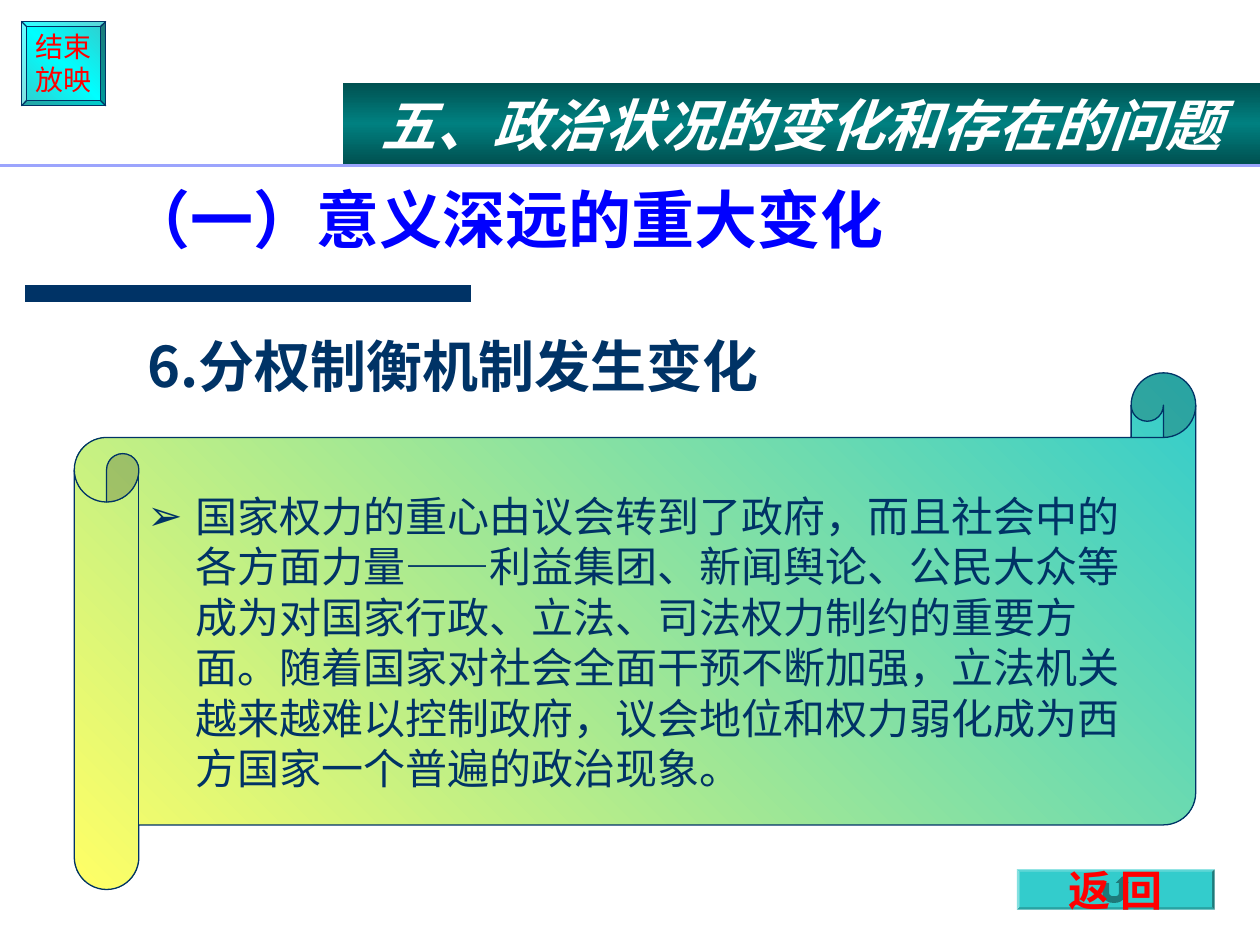
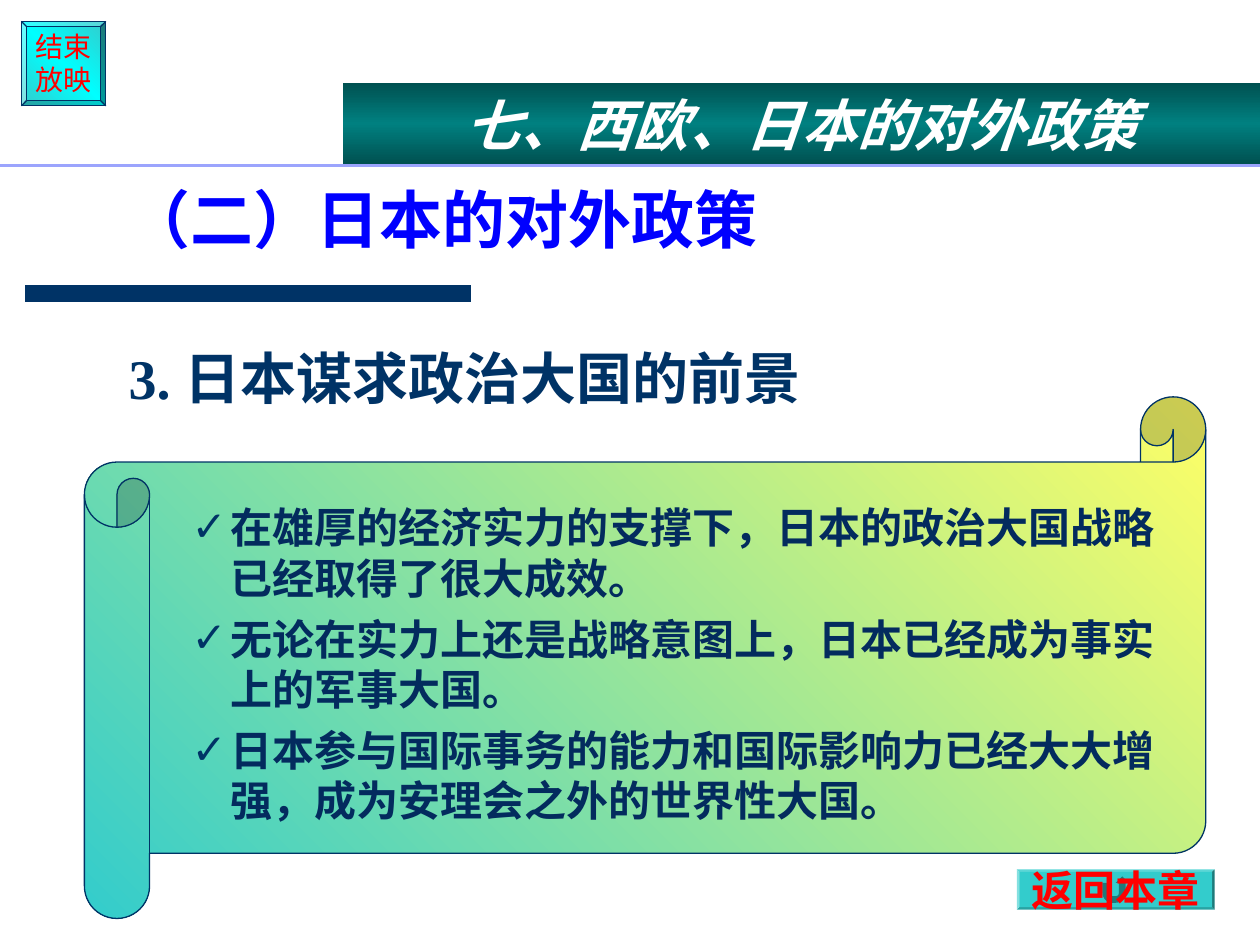
from pptx import Presentation
from pptx.dml.color import RGBColor as RGB
from pptx.enum.shapes import MSO_CONNECTOR as LINK, MSO_SHAPE as KIND
from pptx.enum.text import MSO_ANCHOR as ANCHOR, MSO_AUTO_SIZE as FIT, PP_ALIGN as ALIGN
from pptx.oxml.ns import qn
from pptx.util import Pt
from lxml.etree import SubElement as sub
from copy import deepcopy as clone

PX = 9144
HUE = {"navy": "003366", "ink": "032B5E", "blue": "0000FF", "red": "FF0000",
       "white": "FFFFFF", "teal": "33CCCC", "aqua": "00FFFF", "lemon": "FFFF66",
       "deep": "005151", "sea": "008080", "rule": "9BA4FD"}
CJK = "Noto Sans CJK SC"


def write(box, text, size=24, hue="navy", font=CJK, bold=False, slant=False,
          align=ALIGN.LEFT, anchor=ANCHOR.TOP, wrap=True, gap=0, pitch=None,
          left=0, hang=0, mark=None, level=0, more=False):
    frame = box.text_frame
    frame.auto_size = FIT.NONE
    frame.word_wrap = wrap
    frame.vertical_anchor = anchor
    para = frame.add_paragraph() if more else frame.paragraphs[0]
    para.level = level
    para.alignment = align
    para.space_before = Pt(gap)
    para.line_spacing = pitch
    props = para._p.get_or_add_pPr()
    props.set("marL", str(left * PX))
    props.set("indent", str(-hang * PX))
    props.set("hangingPunct", "0")
    if mark:
        tint = sub(props, qn("a:buClr"))
        sub(tint, qn("a:srgbClr"), val=HUE["navy"])
        sub(props, qn("a:buFont"), typeface="Arial")
        sub(props, qn("a:buChar"), char=mark)
    else:
        sub(props, qn("a:buNone"))
    run = para.add_run()
    run.text = text
    run.font.size = Pt(size)
    run.font.bold = bold
    run.font.italic = slant
    run.font.name = font
    run.font.color.rgb = RGB.from_string(HUE[hue])
    sub(run._r.get_or_add_rPr(), qn("a:ea"), typeface=CJK)


def draw(slide, kind, area, hues, angle=0, edge=False):
    shape = slide.shapes.add_shape(kind, *[n * PX for n in area])
    shape.shadow.inherit = False
    if len(hues) == 1:
        shape.fill.solid()
        shape.fill.fore_color.rgb = RGB.from_string(HUE[hues[0]])
    else:
        shape.fill.gradient()
        shape.fill.gradient_angle = angle
        stops = shape._element.spPr.find(qn("a:gradFill")).find(qn("a:gsLst"))
        while len(stops) < len(hues):
            stops.append(clone(stops[0]))
        for i, stop in enumerate(shape.fill.gradient_stops):
            stop.position = i / (len(hues) - 1)
            stop.color.rgb = RGB.from_string(HUE[hues[i]])
    if edge:
        shape.line.color.rgb = RGB.from_string(HUE["navy"])
        shape.line.width = Pt(0.75)
    else:
        shape.line.fill.background()
    return shape


PAGES = [
    {"band": "五、政治状况的变化和存在的问题", "title": "（一）意义深远的重大变化",
     "head": "6.分权制衡机制发生变化", "font": CJK, "back": "返 回",
     "scroll": (59, 296, 890, 410), "hues": ("teal", "lemon"),
     "body": (107, 258, 802, 392),
     "style": {"mark": "➢", "left": 38, "hang": 38, "font": "Arial"},
     "items": ["国家权力的重心由议会转到了政府，而且社会中的各方面力量——利益集团、新闻舆论、公民大众等成为对国家行政、立法、司法权力制约的重要方面。随着国家对社会全面干预不断加强，立法机关越来越难以控制政府，议会地位和权力弱化成为西方国家一个普遍的政治现象。"]},
    {"band": "七、西欧、日本的对外政策", "title": "（二）日本的对外政策",
     "head": "3. 日本谋求政治大国的前景", "font": "Times New Roman", "back": "返回本章",
     "scroll": (67, 315, 890, 414), "hues": ("lemon", "teal"),
     "body": (92, 267, 841, 407),
     "style": {"mark": "✓", "left": 81, "hang": 31, "level": 1, "bold": True, "hue": "ink"},
     "items": ["在雄厚的经济实力的支撑下，日本的政治大国战略已经取得了很大成效。",
               "无论在实力上还是战略意图上，日本已经成为事实上的军事大国。",
               "日本参与国际事务的能力和国际影响力已经大大增强，成为安理会之外的世界性大国。"]},
]
RULES = [(20, 374, 233, "navy", 10), (0, 1000, 131, "rule", 1.75)]

deck = Presentation()
deck.slide_width, deck.slide_height = 1000 * PX, 750 * PX

for page in PAGES:
    slide = deck.slides.add_slide(deck.slide_layouts[1])
    tree = slide.shapes._spTree

    end = draw(slide, KIND.BEVEL, (17, 17, 67, 67), ("teal", "aqua", "teal"), 225, True)
    end.adjustments[0] = 0.06
    for i, word in enumerate(("结束", "放映")):
        write(end, word, size=16, hue="red", font="Arial", align=ALIGN.CENTER,
              anchor=ANCHOR.MIDDLE, wrap=False, pitch=Pt(18.7), more=i > 0)

    scroll = draw(slide, KIND.HORIZONTAL_SCROLL, page["scroll"], page["hues"], 225, True)
    scroll.adjustments[0] = 0.125

    title, body = slide.shapes.title, slide.placeholders[1]
    for holder, area in ((title, (91, 100, 851, 109)), (body, page["body"])):
        holder.left, holder.top, holder.width, holder.height = [n * PX for n in area]
        tree.append(holder._element)
    write(title, page["title"], size=36, hue="blue", bold=True,
          anchor=ANCHOR.BOTTOM, pitch=0.9)

    write(body, page["head"], size=32, font=page["font"], bold=True,
          left=38, hang=38, pitch=Pt(38.7))
    for i, item in enumerate(page["items"]):
        write(body, item, gap=6 if i else 52.2, pitch=Pt(28.8), more=True, **page["style"])

    rim = draw(slide, KIND.BEVEL, (807, 690, 157, 32), ("teal",))
    rim.adjustments[0] = 0.07
    back = draw(slide, KIND.ACTION_BUTTON_RETURN, (809, 692, 153, 28), ("teal",))
    write(back, page["back"], hue="red", font="Arial", bold=True,
          align=ALIGN.CENTER, anchor=ANCHOR.MIDDLE, wrap=False)

    band = draw(slide, KIND.RECTANGLE, (272, 66, 728, 64), ("deep", "sea", "deep"), 270)
    write(band, page["band"], size=32, hue="white", bold=True, slant=True,
          align=ALIGN.CENTER, pitch=Pt(39.2))

    for x, far, y, hue, width in RULES:
        rule = slide.shapes.add_connector(LINK.STRAIGHT, x * PX, y * PX, far * PX, y * PX)
        rule.line.color.rgb = RGB.from_string(HUE[hue])
        rule.line.width = Pt(width)
        sub(rule._element.spPr, qn("a:effectLst"))

deck.save("out.pptx")
